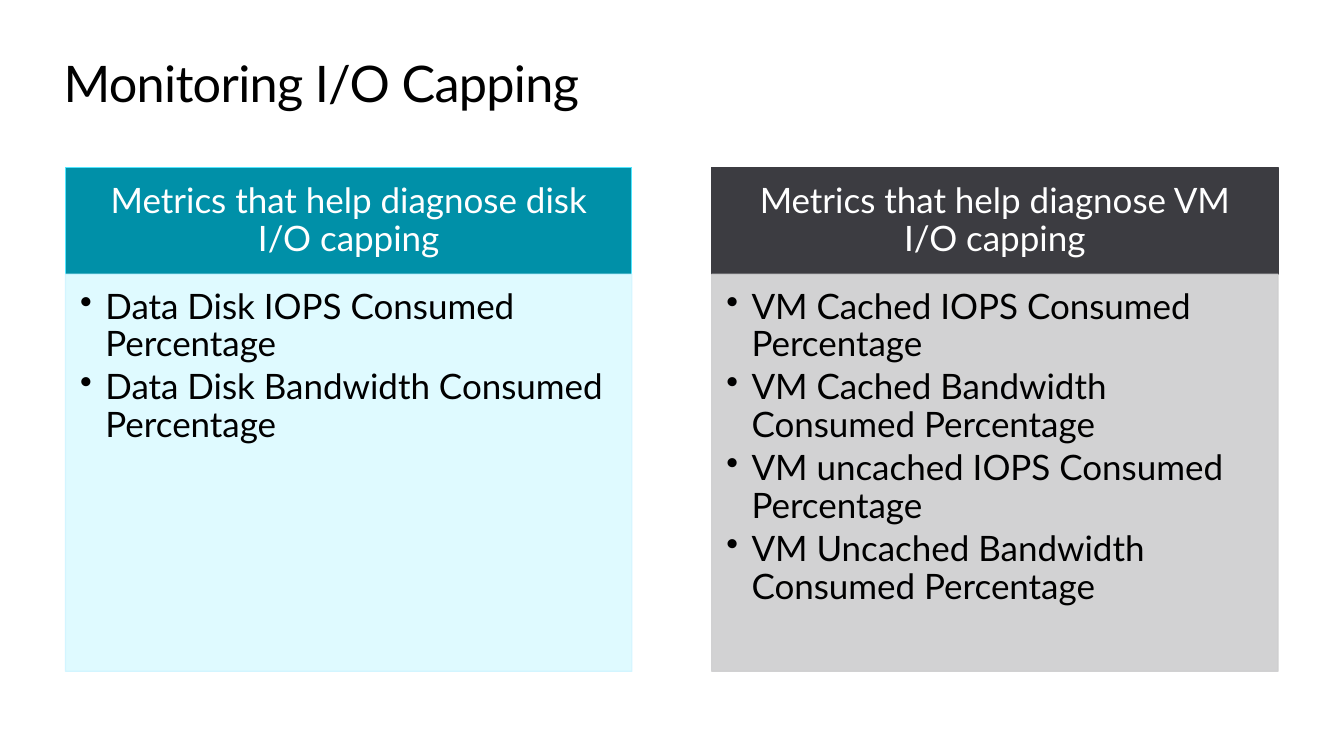
from dataclasses import dataclass

from lxml.etree import SubElement
from pptx import Presentation
from pptx.dml.color import RGBColor
from pptx.enum.shapes import MSO_SHAPE
from pptx.enum.text import MSO_ANCHOR, MSO_AUTO_SIZE, PP_ALIGN
from pptx.oxml.ns import qn
from pptx.shapes.autoshape import Shape
from pptx.slide import Slide
from pptx.text.text import TextFrame, _Paragraph, _Run
from pptx.util import Pt

FONT = "Lato"
BLACK = RGBColor(0x00, 0x00, 0x00)
WHITE = RGBColor(0xFF, 0xFF, 0xFF)
TEAL = RGBColor(0x00, 0x90, 0xA8)
CYAN = RGBColor(0x50, 0xE6, 0xFF)
PALE = RGBColor(0xDC, 0xFA, 0xFF)
ICE = RGBColor(0xD0, 0xF5, 0xFF)
DARK = RGBColor(0x3C, 0x3C, 0x41)
GREY = RGBColor(0xCE, 0xCE, 0xCF)

# Layout in points
LEFT, STEP, WIDTH = 46.8, 461.5, 404.6
TOP, HEAD_H, BODY_H = 119.5, 76.4, 283.6
SIZE = 25
INDENT = 18


@dataclass(frozen=True)
class Paint:
    fill: RGBColor
    line: RGBColor


@dataclass(frozen=True)
class Panel:
    head: str
    items: tuple[str, ...]
    top: Paint
    body: Paint


PANELS = (
    Panel(
        "Metrics that help diagnose disk I/O capping",
        (
            "Data Disk IOPS Consumed Percentage",
            "Data Disk Bandwidth Consumed Percentage",
        ),
        Paint(TEAL, CYAN),
        Paint(PALE, ICE),
    ),
    Panel(
        "Metrics that help diagnose VM I/O capping",
        (
            "VM Cached IOPS Consumed Percentage",
            "VM Cached Bandwidth Consumed Percentage",
            "VM uncached IOPS Consumed Percentage",
            "VM Uncached Bandwidth Consumed Percentage",
        ),
        Paint(DARK, DARK),
        Paint(GREY, GREY),
    ),
)


def set_frame(frame: TextFrame, left: float, top: float,
              right: float, bottom: float, anchor: MSO_ANCHOR) -> None:
    frame.word_wrap = True
    frame.margin_left, frame.margin_top = Pt(left), Pt(top)
    frame.margin_right, frame.margin_bottom = Pt(right), Pt(bottom)
    frame.vertical_anchor = anchor


def add_run(para: _Paragraph, text: str, size: float, color: RGBColor) -> _Run:
    run = para.add_run()
    run.text = text
    run.font.name = FONT
    run.font.size = Pt(size)
    run.font.color.rgb = color
    return run


def add_box(slide: Slide, x: float, y: float, height: float,
            paint: Paint) -> Shape:
    box = slide.shapes.add_shape(
        MSO_SHAPE.RECTANGLE, Pt(x), Pt(y), Pt(WIDTH), Pt(height))
    box.shadow.inherit = False
    box.fill.solid()
    box.fill.fore_color.rgb = paint.fill
    box.line.color.rgb = paint.line
    box.line.width = Pt(0.85)
    return box


def fade(box: Shape, percent: int) -> None:
    for color in box._element.spPr.iter(qn("a:srgbClr")):
        SubElement(color, qn("a:alpha")).set("val", str(percent * 1000))


def add_item(para: _Paragraph, text: str) -> None:
    props = para._p.get_or_add_pPr()
    props.set("marL", str(Pt(INDENT)))
    props.set("indent", str(-Pt(INDENT)))
    SubElement(props, qn("a:buChar")).set("char", "•")
    para.level = 1
    para.alignment = PP_ALIGN.LEFT
    para.line_spacing = 0.9
    para.space_after = Pt(0.15 * SIZE)
    add_run(para, text, SIZE, BLACK)


def add_title(slide: Slide, text: str) -> None:
    box = slide.shapes.add_textbox(Pt(45.4), Pt(37.4), Pt(867.6), Pt(43.9))
    set_frame(box.text_frame, 0, 0, 0, 0, MSO_ANCHOR.TOP)
    box.text_frame.auto_size = MSO_AUTO_SIZE.SHAPE_TO_FIT_TEXT
    run = add_run(box.text_frame.paragraphs[0], text, 36, BLACK)
    run._r.get_or_add_rPr().set("spc", "-50")


def add_panel(slide: Slide, panel: Panel, x: float) -> None:
    # Header bar
    head = add_box(slide, x, TOP, HEAD_H, panel.top)
    set_frame(head.text_frame, 14, 8, 14, 8, MSO_ANCHOR.MIDDLE)
    para = head.text_frame.paragraphs[0]
    para.alignment = PP_ALIGN.CENTER
    para.line_spacing = 0.9
    add_run(para, panel.head, SIZE, WHITE)

    # Bulleted body
    body = add_box(slide, x, TOP + HEAD_H, BODY_H, panel.body)
    fade(body, 90)
    frame = body.text_frame
    set_frame(frame, 10.5, 10.5, 14, 16, MSO_ANCHOR.TOP)
    for i, text in enumerate(panel.items):
        add_item(frame.add_paragraph() if i else frame.paragraphs[0], text)


def main() -> None:
    deck = Presentation()
    deck.slide_width, deck.slide_height = Pt(960), Pt(540)
    slide = deck.slides.add_slide(deck.slide_layouts[6])
    add_title(slide, "Monitoring I/O Capping")
    for i, panel in enumerate(PANELS):
        add_panel(slide, panel, LEFT + i * STEP)
    deck.save("out.pptx")


if __name__ == "__main__":
    main()
